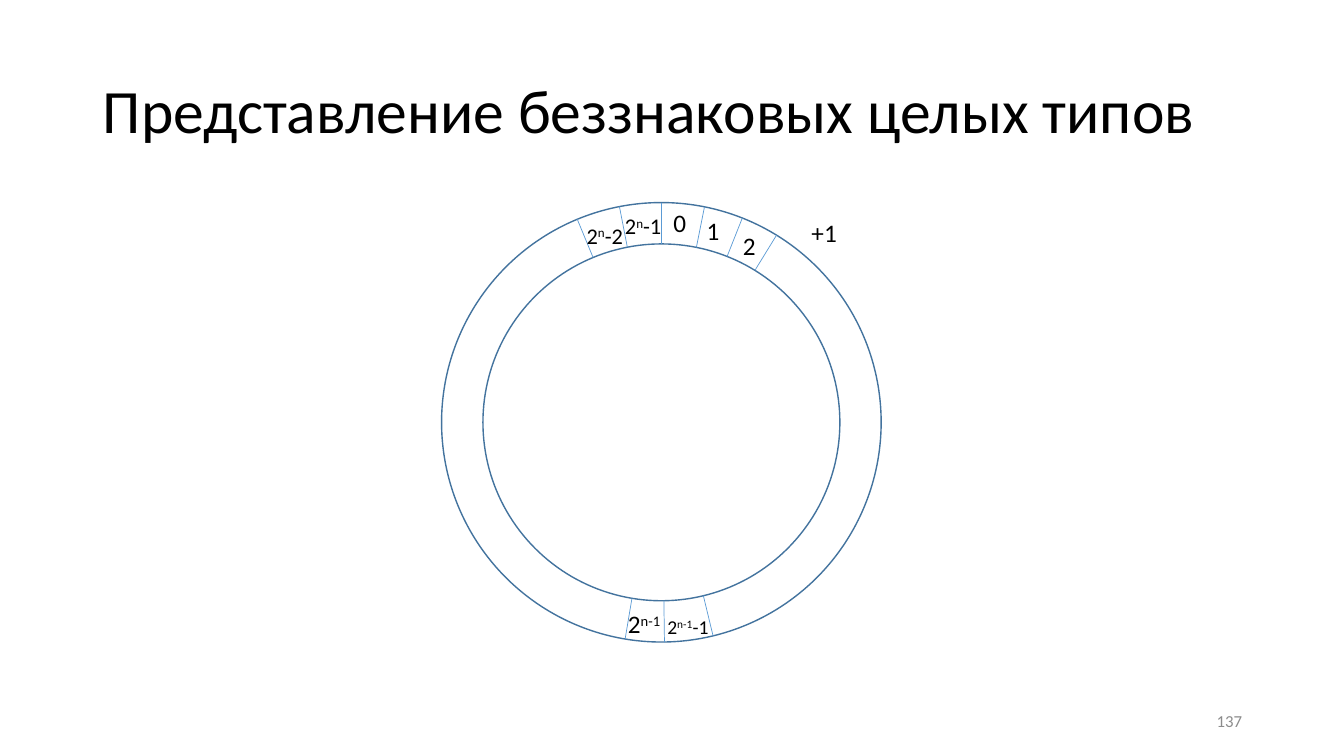
from dataclasses import dataclass
from math import cos, radians, sin

from lxml.etree import SubElement
from pptx import Presentation
from pptx.dml.color import RGBColor
from pptx.enum.shapes import MSO_CONNECTOR, MSO_SHAPE
from pptx.enum.text import MSO_ANCHOR, MSO_AUTO_SIZE, PP_ALIGN
from pptx.oxml.ns import qn
from pptx.util import Inches, Pt


@dataclass(frozen=True)
class Theme:
    """Colours, font and type sizes of the slide."""
    font: str = "Calibri"
    ink: str = "000000"
    gray: str = "8C8C8C"
    ring: str = "43739E"
    tick: str = "5B9BD5"
    head: int = 44
    large: int = 18
    mid: int = 16
    small: int = 14
    foot: int = 12


THEME = Theme()
WIDE, HIGH = 13.33, 7.5
MID_X, MID_Y = 6.56, 4.19
OUTER, INNER = 2.18, 1.77

# Cell borders, in degrees clockwise from the top of the ring
TICKS = (-22.5, -11, 0, 11.3, 21.6, 31.6, 166.4, 179.2, 189.5)

# Left, top, width, height, type size, text; ^ marks a raised part
LABELS = (
    (6.58, 2.01, 0.33, 0.4, THEME.large, ("0",)),
    (6.91, 2.09, 0.33, 0.4, THEME.large, ("1",)),
    (7.27, 2.24, 0.33, 0.4, THEME.large, ("2",)),
    (6.13, 5.99, 0.66, 0.4, THEME.large, ("2", "^n-1")),
    (6.52, 6.05, 1.07, 0.34, THEME.small, ("2", "^n-1", "-1")),
    (6.1, 2.06, 0.71, 0.37, THEME.mid, ("2", "^n", "-1")),
    (5.72, 2.15, 0.71, 0.37, THEME.mid, ("2", "^n", "-2")),
    (7.95, 2.11, 0.46, 0.4, THEME.large, ("+1",)),
)


def style(para, size, color=THEME.ink):
    """Set the font of a whole paragraph."""
    para.font.name = THEME.font
    para.font.size = Pt(size)
    para.font.color.rgb = RGBColor.from_string(color)


def add_title(slide, text):
    """Fill and place the title placeholder."""
    title = slide.shapes.title
    title.left, title.top = Inches(0.92), Inches(0.4)
    title.width, title.height = Inches(11.5), Inches(1.45)
    frame = title.text_frame
    frame.text = text
    frame.vertical_anchor = MSO_ANCHOR.MIDDLE
    para = frame.paragraphs[0]
    para.alignment = PP_ALIGN.LEFT
    para.line_spacing = 0.9
    style(para, THEME.head)


def add_label(slide, left, top, width, height, size, parts, color=THEME.ink):
    """Add a text box whose marked parts are superscript."""
    box = slide.shapes.add_textbox(*map(Inches, (left, top, width, height)))
    frame = box.text_frame
    frame.word_wrap = len(parts) > 1
    frame.auto_size = MSO_AUTO_SIZE.SHAPE_TO_FIT_TEXT
    para = frame.paragraphs[0]
    style(para, size, color)
    for part in parts:
        run = para.add_run()
        run.text = part.lstrip("^")
        if part.startswith("^"):
            run._r.get_or_add_rPr().set("baseline", "30000")
    return box


def add_ring(slide, radius):
    """Add an unfilled circle around the ring's centre."""
    place = (MID_X - radius, MID_Y - radius, 2 * radius, 2 * radius)
    ring = slide.shapes.add_shape(MSO_SHAPE.OVAL, *map(Inches, place))
    ring.shadow.inherit = False
    ring.fill.background()
    ring.line.color.rgb = RGBColor.from_string(THEME.ring)
    ring.line.width = Pt(1)


def add_tick(slide, angle):
    """Add a cell border across the ring at an angle."""
    turn = radians(angle)
    ends = [Inches(value) for radius in (OUTER, INNER)
            for value in (MID_X + radius * sin(turn),
                          MID_Y - radius * cos(turn))]
    tick = slide.shapes.add_connector(MSO_CONNECTOR.STRAIGHT, *ends)
    tick.line.color.rgb = RGBColor.from_string(THEME.tick)
    tick.line.width = Pt(0.5)
    SubElement(tick._element.spPr, qn("a:effectLst"))


def add_number(slide, text):
    """Add the slide number at the lower right."""
    box = add_label(slide, 9.42, 6.95, 3, 0.4, THEME.foot, (text,), THEME.gray)
    frame = box.text_frame
    frame.word_wrap = True
    frame.auto_size = MSO_AUTO_SIZE.NONE
    frame.vertical_anchor = MSO_ANCHOR.MIDDLE
    frame.paragraphs[0].alignment = PP_ALIGN.RIGHT


def main():
    """Build the slide and save it."""
    deck = Presentation()
    deck.slide_width, deck.slide_height = Inches(WIDE), Inches(HIGH)
    slide = deck.slides.add_slide(deck.slide_layouts[5])
    add_title(slide, "Представление беззнаковых целых типов")
    add_number(slide, "137")
    for radius in (OUTER, INNER):
        add_ring(slide, radius)
    for angle in TICKS:
        add_tick(slide, angle)
    for label in LABELS:
        add_label(slide, *label)
    deck.save("out.pptx")


main()
